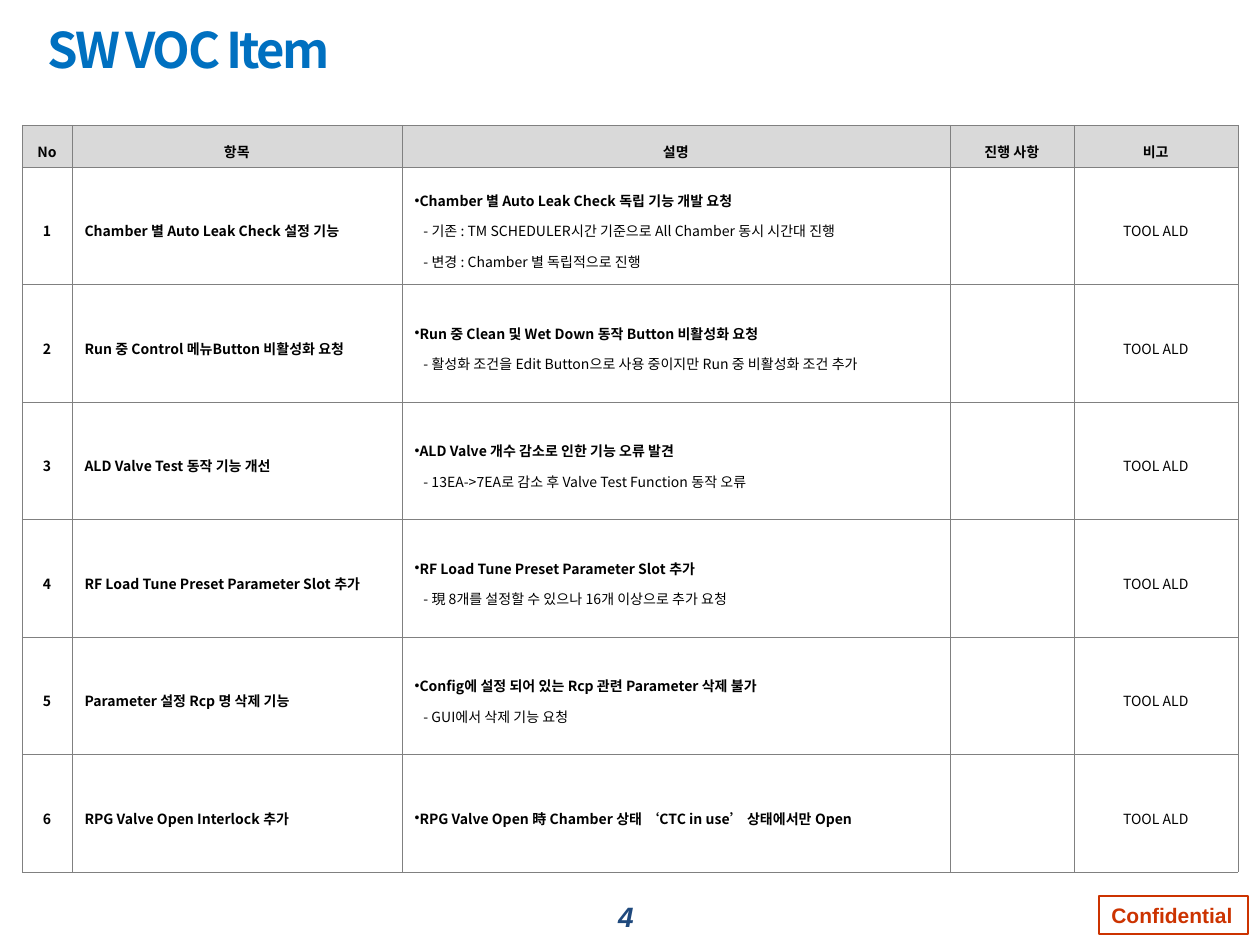
"""Build the SW VOC item slide: a title, a request table and a footer."""
from dataclasses import dataclass

from lxml.etree import SubElement
from pptx import Presentation
from pptx.dml.color import RGBColor
from pptx.enum.shapes import MSO_SHAPE
from pptx.enum.text import MSO_ANCHOR, PP_ALIGN
from pptx.oxml import parse_xml
from pptx.oxml.ns import nsdecls, qn
from pptx.util import Pt

HEADS = ["No", "항목", "설명", "진행 사항", "비고"]
NOTE = "TOOL ALD"
ITEMS = [
    ("Chamber 별 Auto Leak Check 설정 기능",
     ["Chamber 별 Auto Leak Check 독립 기능 개발 요청",
      "- 기존 : TM SCHEDULER시간 기준으로 All Chamber 동시 시간대 진행",
      "- 변경 : Chamber 별 독립적으로 진행"]),
    ("Run 중 Control 메뉴Button 비활성화 요청",
     ["Run 중 Clean 및 Wet Down 동작 Button 비활성화 요청",
      "- 활성화 조건을 Edit Button으로 사용 중이지만 Run 중 비활성화 조건 추가"]),
    ("ALD Valve Test 동작 기능 개선",
     ["ALD Valve 개수 감소로 인한 기능 오류 발견",
      "- 13EA->7EA로 감소 후 Valve Test Function 동작 오류"]),
    ("RF Load Tune Preset Parameter Slot 추가",
     ["RF Load Tune Preset Parameter Slot 추가",
      "- 現 8개를 설정할 수 있으나 16개 이상으로 추가 요청"]),
    ("Parameter 설정 Rcp 명 삭제 기능",
     ["Config에 설정 되어 있는 Rcp 관련 Parameter 삭제 불가",
      "- GUI에서 삭제 기능 요청"]),
    ("RPG Valve Open Interlock 추가",
     ["RPG Valve Open 時 Chamber 상태 ‘CTC in use’ 상태에서만 Open"]),
]
COLS = [50, 330, 548, 124, 164]
LEFT, TOP, HEAD, BODY = 22, 125, 42, 705


@dataclass(frozen=True)
class Theme:
    sans: str = "Noto Sans CJK KR"
    foot: str = "Arial"
    blue: str = "0070C0"
    navy: str = "1F497D"
    red: str = "CC3300"
    black: str = "000000"
    white: str = "FFFFFF"
    gray: str = "D9D9D9"
    rule: str = "808080"
    big: int = 28
    page: int = 16
    mark: int = 12
    small: int = 8


T = Theme()


def px(n):
    return round(n * 914400 / 126)


def style(para, face, size, color, bold=True, italic=False):
    for run in para.runs:
        font = run.font
        font.name, font.size, font.bold, font.italic = face, Pt(size), bold, italic
        font.color.rgb = RGBColor.from_string(color)
        SubElement(run._r.get_or_add_rPr(), qn("a:ea")).set("typeface", face)


def indent(para, left, hang=0, mark=None):
    props = para._p.get_or_add_pPr()
    props.set("marL", str(px(left)))
    props.set("indent", str(px(hang)))
    if mark:
        SubElement(props, qn("a:buFont")).set("typeface", T.foot)
        SubElement(props, qn("a:buChar")).set("char", mark)


def border(cell):
    props = cell._tc.get_or_add_tcPr()
    for i, side in enumerate("LRTB"):
        props.insert(i, parse_xml(
            f'<a:ln{side} {nsdecls("a")} w="3175"><a:solidFill>'
            f'<a:srgbClr val="{T.rule}"/></a:solidFill></a:ln{side}>'))


def write(cell, lines, mid, bold):
    cell.vertical_anchor = MSO_ANCHOR.MIDDLE
    cell.text_frame.text = "\n".join(lines)
    for para in cell.text_frame.paragraphs:
        para.alignment = PP_ALIGN.CENTER if mid else PP_ALIGN.LEFT
        para.line_spacing = 1.5
        style(para, T.sans, T.small, T.black, bold)


def detail(cell):
    first, *rest = cell.text_frame.paragraphs
    indent(first, 5, -5, "•")
    for para in rest:
        indent(para, 9)
        para.runs[0].font.bold = False


def grid(slide):
    rows = [HEADS] + [(str(i), name, text, "", NOTE)
                      for i, (name, text) in enumerate(ITEMS, 1)]
    table = slide.shapes.add_table(
        len(rows), len(COLS), px(LEFT), px(TOP),
        px(sum(COLS)), px(HEAD + BODY)).table
    table.first_row = table.horz_banding = False
    for col, wide in zip(table.columns, COLS):
        col.width = px(wide)
    for r, row in enumerate(rows):
        table.rows[r].height = px(BODY / len(ITEMS) if r else HEAD)
        for c, text in enumerate(row):
            cell = table.cell(r, c)
            cell.fill.solid()
            cell.fill.fore_color.rgb = RGBColor.from_string(T.white if r else T.gray)
            border(cell)
            lines = text if isinstance(text, list) else [text]
            write(cell, lines, not r or c not in (1, 2), not r or c < 3)
            if r and c == 2:
                detail(cell)


def label(shape, text, *look, mid=False, wrap=False):
    frame = shape.text_frame
    frame.word_wrap = wrap
    frame.vertical_anchor = MSO_ANCHOR.MIDDLE
    frame.text = text
    para = frame.paragraphs[0]
    para.alignment = PP_ALIGN.CENTER if mid else PP_ALIGN.LEFT
    style(para, *look)
    return para


def main():
    deck = Presentation()
    deck.slide_width, deck.slide_height = px(1260), px(945)
    slide = deck.slides.add_slide(deck.slide_layouts[6])
    shapes = slide.shapes

    page = shapes.add_textbox(px(596), px(893), px(60), px(47))
    label(page, "4", T.foot, T.page, T.navy, True, True, mid=True)

    stamp = shapes.add_shape(MSO_SHAPE.RECTANGLE, px(1099), px(896), px(149), px(38))
    stamp.shadow.inherit = False
    stamp.fill.solid()
    stamp.fill.fore_color.rgb = RGBColor.from_string(T.white)
    stamp.line.color.rgb = RGBColor.from_string(T.red)
    stamp.line.width = Pt(0.75)
    label(stamp, "Confidential", T.foot, T.mark, T.red)

    grid(slide)

    title = shapes.add_textbox(px(35), px(2), px(942), px(93))
    para = label(title, "SW VOC Item", T.sans, T.big, T.blue, wrap=True)
    para.runs[0]._r.get_or_add_rPr().set("spc", "-150")
    deck.save("out.pptx")


if __name__ == "__main__":
    main()
